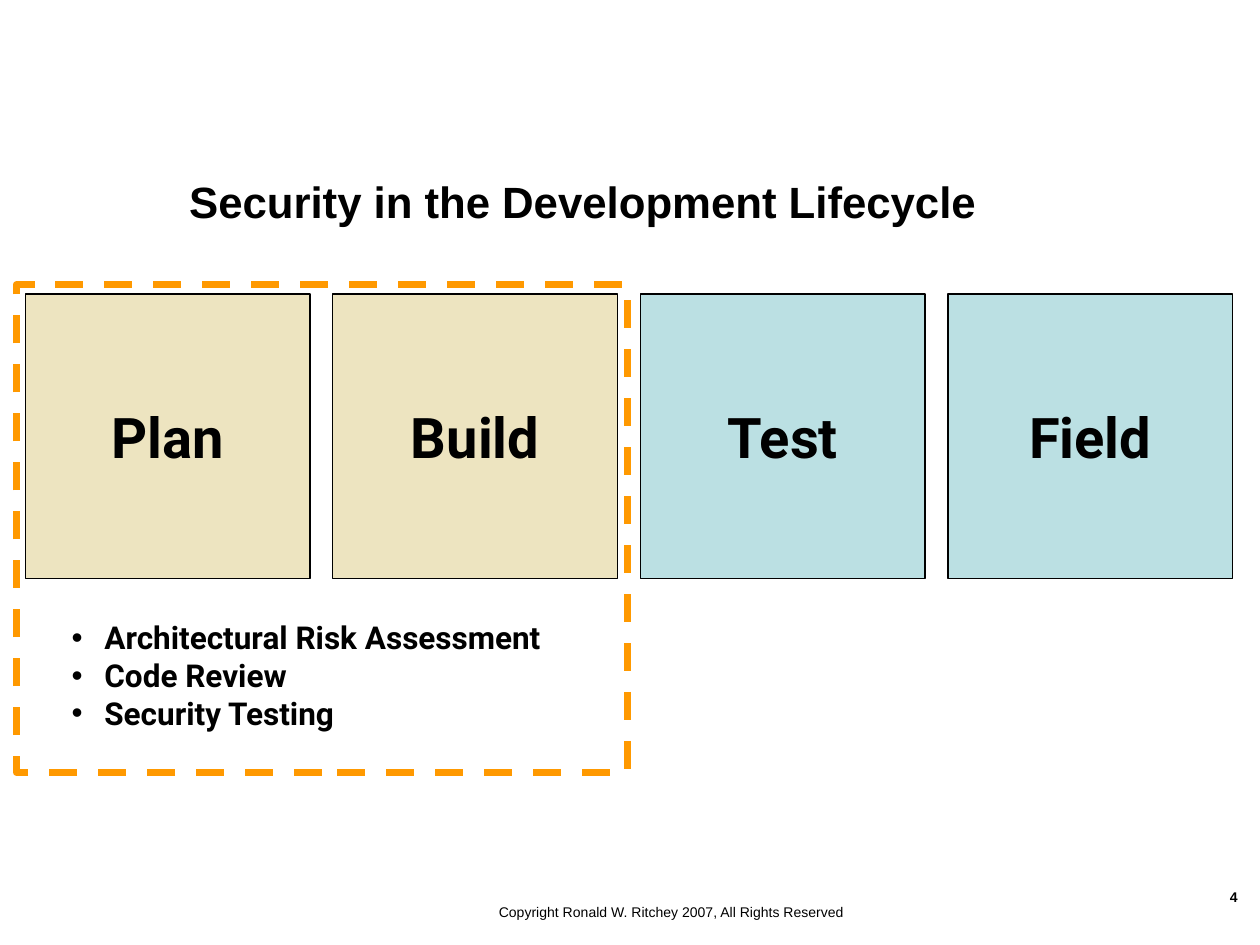
from dataclasses import dataclass

from pptx import Presentation
from pptx.dml.color import RGBColor
from pptx.enum.dml import MSO_LINE
from pptx.enum.shapes import MSO_SHAPE
from pptx.enum.text import MSO_ANCHOR, MSO_AUTO_SIZE, PP_ALIGN
from pptx.shapes.autoshape import Shape
from pptx.slide import Slide
from pptx.util import Cm, Pt


@dataclass(frozen=True)
class Theme:
    ink: RGBColor = RGBColor(0x00, 0x00, 0x00)
    early: RGBColor = RGBColor(0xED, 0xE4, 0xC0)
    late: RGBColor = RGBColor(0xBB, 0xE0, 0xE3)
    frame: RGBColor = RGBColor(0xFF, 0x99, 0x00)
    plain_font: str = "Arial"
    phase_font: str = "Roboto"
    title_size: Pt = Pt(25)
    phase_size: Pt = Pt(32)
    list_size: Pt = Pt(18)
    footer_size: Pt = Pt(8)


@dataclass(frozen=True)
class Box:
    left: float
    top: float
    width: float
    height: float


@dataclass(frozen=True)
class Phase:
    name: str
    fill: RGBColor


THEME = Theme()
PHASES = [
    Phase("Plan", THEME.early),
    Phase("Build", THEME.early),
    Phase("Test", THEME.late),
    Phase("Field", THEME.late),
]
PHASE_LEFT, PHASE_TOP, PHASE_SIDE, PHASE_PITCH = 0.51, 5.93, 5.74, 6.2
ACTIVITIES = ["Architectural Risk Assessment", "Code Review", "Security Testing"]


def place(sp: Shape, box: Box) -> None:
    sp.left, sp.top = Cm(box.left), Cm(box.top)
    sp.width, sp.height = Cm(box.width), Cm(box.height)


def write(sp: Shape, lines: list[str], font: str, size: Pt,
          align: PP_ALIGN = PP_ALIGN.LEFT, anchor: MSO_ANCHOR = MSO_ANCHOR.TOP,
          bold: bool = True) -> None:
    """Fill the shape with one paragraph per line, all in one style."""
    tf = sp.text_frame
    tf.text = "\n".join(lines)
    tf.word_wrap = True
    tf.auto_size = MSO_AUTO_SIZE.NONE
    tf.vertical_anchor = anchor
    for p in tf.paragraphs:
        p.alignment = align
        p.space_before = Pt(0)
        for r in p.runs:
            r.font.name, r.font.size, r.font.bold = font, size, bold
            r.font.color.rgb = THEME.ink


def add_rectangle(slide: Slide, box: Box, line: RGBColor, weight: float) -> Shape:
    sp = slide.shapes.add_shape(MSO_SHAPE.RECTANGLE, Cm(box.left), Cm(box.top),
                                Cm(box.width), Cm(box.height))
    sp.shadow.inherit = False
    sp.line.color.rgb = line
    sp.line.width = Pt(weight)
    return sp


def add_phase(slide: Slide, phase: Phase, column: int) -> None:
    left = PHASE_LEFT + column * PHASE_PITCH
    sp = add_rectangle(slide, Box(left, PHASE_TOP, PHASE_SIDE, PHASE_SIDE), THEME.ink, 0.75)
    sp.fill.solid()
    sp.fill.fore_color.rgb = phase.fill
    write(sp, [phase.name], THEME.phase_font, THEME.phase_size,
          PP_ALIGN.CENTER, MSO_ANCHOR.MIDDLE)


def add_frame(slide: Slide, box: Box) -> None:
    sp = add_rectangle(slide, box, THEME.frame, 4)
    sp.fill.background()
    sp.line.dash_style = MSO_LINE.DASH


def add_footer(slide: Slide, text: str, box: Box, align: PP_ALIGN, bold: bool) -> None:
    sp = slide.shapes.add_textbox(0, 0, 0, 0)
    place(sp, box)
    write(sp, [text], THEME.plain_font, THEME.footer_size, align, bold=bold)


def fill_placeholders(slide: Slide) -> None:
    title, body = slide.placeholders
    place(title, Box(3.56, 2.9, 17.32, 2.29))
    write(title, ["Security in the Development Lifecycle"], THEME.plain_font,
          THEME.title_size, anchor=MSO_ANCHOR.MIDDLE)
    place(body, Box(1.19, 12.34, 10.77, 3.4))
    write(body, ACTIVITIES, THEME.phase_font, THEME.list_size)
    for p in body.text_frame.paragraphs:
        pPr = p._p.get_or_add_pPr()
        pPr.set("marL", str(Cm(0.66)))
        pPr.set("indent", str(Cm(-0.66)))


def main() -> None:
    prs = Presentation()
    prs.slide_width, prs.slide_height = Cm(25.4), Cm(19.05)
    slide = prs.slides.add_slide(prs.slide_layouts[1])
    fill_placeholders(slide)
    for column, phase in enumerate(PHASES):
        add_phase(slide, phase, column)
    add_frame(slide, Box(0.33, 5.74, 12.32, 9.83))
    add_footer(slide, "Copyright Ronald W. Ritchey 2007, All Rights Reserved",
               Box(7.34, 18.08, 12.4, 0.74), PP_ALIGN.CENTER, bold=False)
    add_footer(slide, "4", Box(22.66, 17.78, 2.54, 1.07), PP_ALIGN.RIGHT, bold=True)
    prs.save("out.pptx")


if __name__ == "__main__":
    main()
